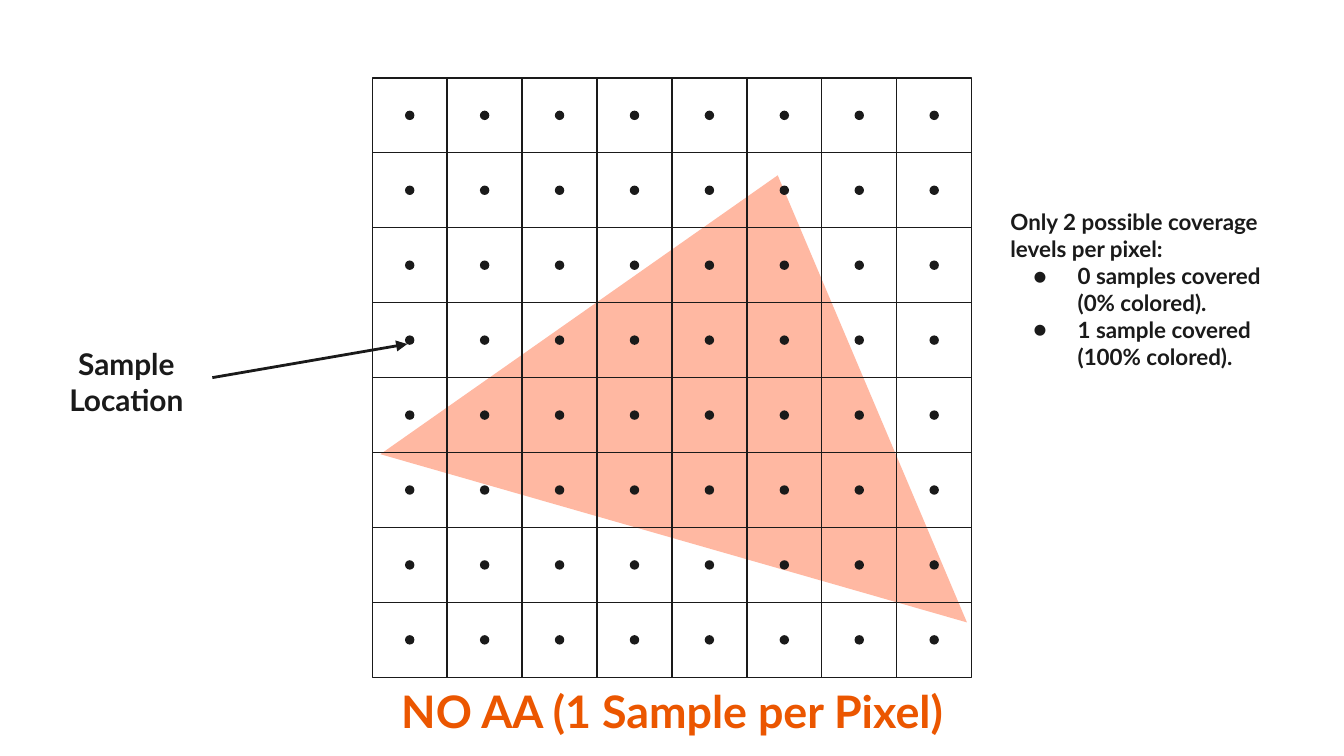
from dataclasses import dataclass
from itertools import product

from lxml.etree import SubElement
from pptx import Presentation
from pptx.dml.color import RGBColor
from pptx.enum.shapes import MSO_CONNECTOR, MSO_SHAPE
from pptx.enum.text import MSO_ANCHOR, MSO_AUTO_SIZE, PP_ALIGN
from pptx.oxml.ns import qn
from pptx.util import Inches, Pt


@dataclass(frozen=True)
class Theme:
    font: str = "Lato"
    ink: str = "1A1A1A"
    accent: str = "EB5600"
    triangle: str = "FFB8A2"
    title_size: int = 24
    label_size: int = 16
    note_size: int = 12
    grid_line: float = 0.75
    arrow_line: float = 1.5


THEME = Theme()
SLIDE_WIDTH = 10
SLIDE_HEIGHT = SLIDE_WIDTH * 9 / 16

TITLE = "NO AA (1 Sample per Pixel)"
SAMPLE_LABEL = "Sample Location"
NOTE_INTRO = "Only 2 possible coverage levels per pixel:"
NOTE_LEVELS = ["0 samples covered (0% colored).", "1 sample covered (100% colored)."]

PIXELS = 8
GRID_LEFT, GRID_TOP, GRID_SIDE = 2.77, 0.58, 4.46
PIXEL = GRID_SIDE / PIXELS
DOT = 0.07
TITLE_AREA = (2.24, 5.04, 5.52, 0.5)
LABEL_AREA = (0.3, 2.47, 1.28, 0.68)
NOTE_AREA = (7.42, 1.45, 2.3, 2.07)
TRIANGLE_AREA, TRIANGLE_TURN = (3.13, 1.25, 4.54, 2.81), 16
ARROW_START, ARROW_END = (1.58, 2.81), (3.03, 2.56)


def color(value):
    return RGBColor.from_string(value)


def add_figure(page, kind, area, fill=None, line=None):
    figure = page.shapes.add_shape(kind, *map(Inches, area))
    figure.shadow.inherit = False
    if fill:
        figure.fill.solid()
        figure.fill.fore_color.rgb = color(fill)
    else:
        figure.fill.background()
    if line:
        figure.line.color.rgb = color(line)
        figure.line.width = Pt(THEME.grid_line)
    else:
        figure.line.fill.background()
    return figure


def prepare_frame(box, anchor=MSO_ANCHOR.TOP):
    frame = box.text_frame
    frame.word_wrap = True
    frame.auto_size = MSO_AUTO_SIZE.NONE
    frame.vertical_anchor = anchor
    frame.margin_left = frame.margin_right = Inches(0.1)
    frame.margin_top = frame.margin_bottom = Inches(0.1)
    return frame


def add_text_box(page, area):
    return prepare_frame(page.shapes.add_textbox(*map(Inches, area)))


def write(para, text, size, ink=THEME.ink, align=PP_ALIGN.LEFT):
    para.alignment = align
    span = para.add_run()
    span.text = text
    span.font.name = THEME.font
    span.font.size = Pt(size)
    span.font.bold = True
    span.font.color.rgb = color(ink)


def add_bullet(para):
    properties = para._p.get_or_add_pPr()
    properties.set("marL", str(Inches(0.5)))
    properties.set("indent", str(Inches(-0.33)))
    bullet_color = SubElement(properties, qn("a:buClr"))
    SubElement(bullet_color, qn("a:srgbClr"), val=THEME.ink)
    SubElement(properties, qn("a:buFont"), typeface=THEME.font)
    SubElement(properties, qn("a:buChar"), char="●")


def add_arrow(page, start, end):
    arrow = page.shapes.add_connector(MSO_CONNECTOR.STRAIGHT, *map(Inches, start + end))
    arrow.line.color.rgb = color(THEME.ink)
    arrow.line.width = Pt(THEME.arrow_line)
    SubElement(arrow.line._get_or_add_ln(), qn("a:tailEnd"), type="triangle")
    SubElement(arrow._element.spPr, qn("a:effectLst"))


def add_pixel_grid(page):
    corners = [
        (GRID_LEFT + column * PIXEL, GRID_TOP + row * PIXEL)
        for row, column in product(range(PIXELS), repeat=2)
    ]
    for left, top in corners:
        add_figure(page, MSO_SHAPE.RECTANGLE, (left, top, PIXEL, PIXEL), line=THEME.ink)
    inset = (PIXEL - DOT) / 2
    for left, top in corners:
        add_figure(page, MSO_SHAPE.OVAL, (left + inset, top + inset, DOT, DOT), fill=THEME.ink)


def add_title(page):
    title = page.shapes.title
    title.left, title.top, title.width, title.height = map(Inches, TITLE_AREA)
    frame = prepare_frame(title, MSO_ANCHOR.MIDDLE)
    write(frame.paragraphs[0], TITLE, THEME.title_size, THEME.accent, PP_ALIGN.CENTER)


def add_note(page):
    frame = add_text_box(page, NOTE_AREA)
    write(frame.paragraphs[0], NOTE_INTRO, THEME.note_size)
    for level in NOTE_LEVELS:
        para = frame.add_paragraph()
        add_bullet(para)
        write(para, level, THEME.note_size)


def main():
    deck = Presentation()
    deck.slide_width, deck.slide_height = Inches(SLIDE_WIDTH), Inches(SLIDE_HEIGHT)
    page = deck.slides.add_slide(deck.slide_layouts[5])
    add_title(page)
    triangle = add_figure(page, MSO_SHAPE.ISOSCELES_TRIANGLE, TRIANGLE_AREA, fill=THEME.triangle)
    triangle.rotation = TRIANGLE_TURN
    add_pixel_grid(page)
    label = add_text_box(page, LABEL_AREA)
    write(label.paragraphs[0], SAMPLE_LABEL, THEME.label_size, align=PP_ALIGN.CENTER)
    add_arrow(page, ARROW_START, ARROW_END)
    add_note(page)
    deck.save("out.pptx")


if __name__ == "__main__":
    main()
